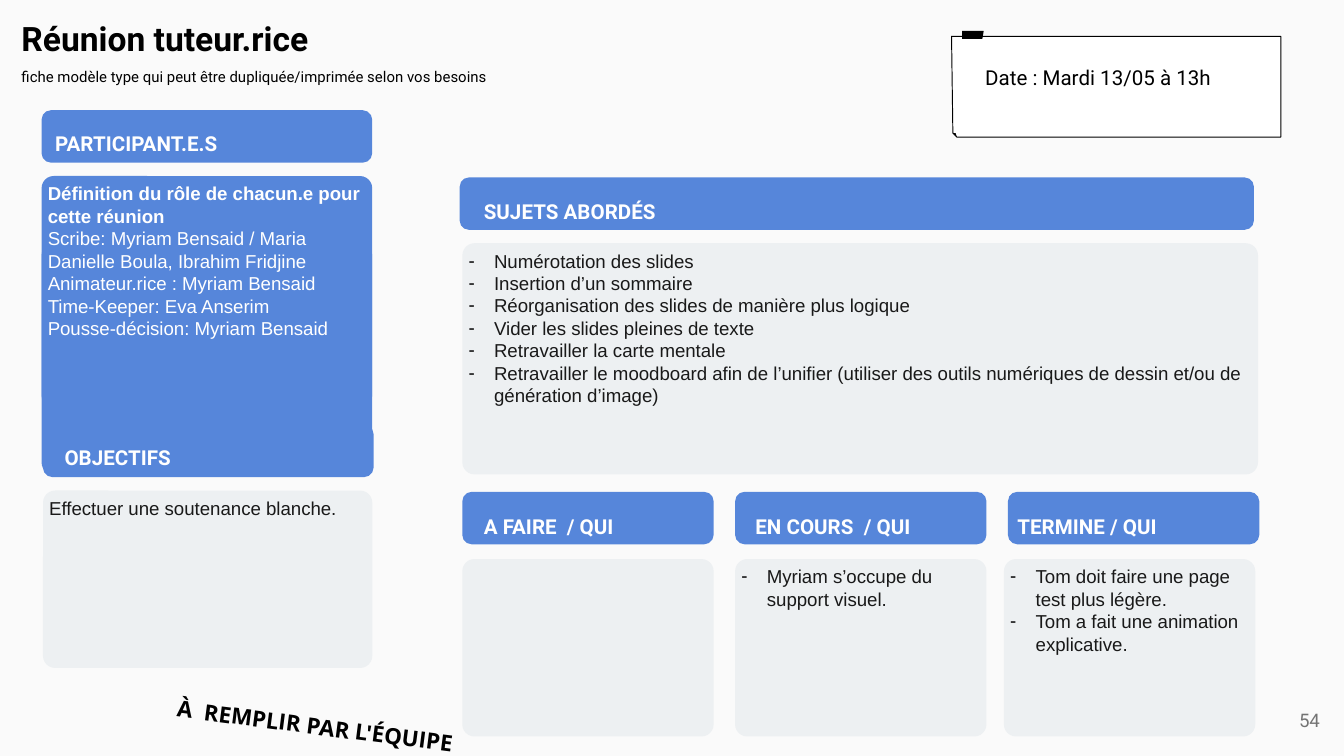
from dataclasses import dataclass

from lxml.etree import SubElement
from pptx import Presentation
from pptx.dml.color import RGBColor
from pptx.enum.shapes import MSO_SHAPE as Preset
from pptx.enum.text import MSO_ANCHOR as Anchor, MSO_AUTO_SIZE as AutoSize, PP_ALIGN as Align
from pptx.oxml.ns import qn
from pptx.util import Inches, Pt


@dataclass(frozen=True)
class Theme:
    background: str = "FAFAFA"
    blue: str = "5686DA"
    pale: str = "EDF0F2"
    white: str = "FFFFFF"
    black: str = "000000"
    body_ink: str = "191919"
    number_ink: str = "737373"
    heading_font: str = "Roboto"
    body_font: str = "Arial"
    stamp_font: str = "Open Sans"
    title_size: int = 18
    stamp_size: int = 12
    label_size: int = 11
    body_size: int = 10
    note_size: int = 8


THEME = Theme()

# Grid in inches: a left column and a right area split into three task columns
LEFT, LEFT_WIDTH = 0.31, 2.46
RIGHT, RIGHT_WIDTH = 3.44, 5.92
TASK_STEP, TASK_WIDTH = 2.03, 1.87
HEADER_HEIGHT, TALL, SHORT = 0.39, 1.72, 1.32
PARTICIPANTS_ROW, ROLES_ROW, TOPICS_ROW = 0.82, 1.31, 1.81
GOALS_HEADER_ROW, GOALS_ROW = 3.16, 3.65
TASK_HEADER_ROW, TASK_ROW = 3.66, 4.16
LABEL_WIDTH = 1.71
HEADER_RADIUS, PANEL_RADIUS = 0.07, 0.09
BULLET_INDENT = 0.19


def rgb(color):
    return RGBColor.from_string(color)


def set_insets(text_frame, inset):
    text_frame.margin_left = text_frame.margin_right = Inches(inset)
    text_frame.margin_top = text_frame.margin_bottom = Inches(inset)


def format_runs(paragraph, size, color, font, bold=False):
    for run in paragraph.runs:
        run.font.size = Pt(size)
        run.font.name = font
        run.font.bold = bold
        run.font.color.rgb = rgb(color)


def add_dash(paragraph):
    """Give the paragraph a black dash bullet with a hanging indent."""
    properties = paragraph._p.get_or_add_pPr()
    properties.set("marL", str(Inches(BULLET_INDENT)))
    properties.set("indent", str(-Inches(BULLET_INDENT)))
    bullet_color = SubElement(properties, qn("a:buClr"))
    SubElement(bullet_color, qn("a:srgbClr")).set("val", THEME.black)
    SubElement(properties, qn("a:buFont")).set("typeface", THEME.body_font)
    SubElement(properties, qn("a:buChar")).set("char", "-")


def add_text(slide, box, text, size, color=THEME.black, font=THEME.heading_font,
             bold=False, spacing=1.5, align=Align.LEFT):
    shape = slide.shapes.add_textbox(*map(Inches, box))
    text_frame = shape.text_frame
    text_frame.word_wrap = True
    text_frame.auto_size = AutoSize.SHAPE_TO_FIT_TEXT
    set_insets(text_frame, 0)
    text_frame.text = text
    paragraph = text_frame.paragraphs[0]
    paragraph.alignment = align
    paragraph.line_spacing = spacing
    format_runs(paragraph, size, color, font, bold)
    return shape


def add_rounded(slide, box, color, radius):
    shape = slide.shapes.add_shape(Preset.ROUNDED_RECTANGLE, *map(Inches, box))
    shape.adjustments[0] = radius / min(box[2:])
    shape.shadow.inherit = False
    shape.fill.solid()
    shape.fill.fore_color.rgb = rgb(color)
    shape.line.fill.background()
    return shape


def add_header(slide, left, top, width, label, indent, drop=0.07, label_height=0.19):
    add_rounded(slide, (left, top, width, HEADER_HEIGHT), THEME.blue, HEADER_RADIUS)
    add_text(slide, (left + indent, top + drop, LABEL_WIDTH, label_height), label,
             THEME.label_size, THEME.white, bold=True)


def add_panel(slide, box, lines=(), fill=THEME.pale, ink=THEME.body_ink,
              dashes=True, bold_first=False):
    shape = add_rounded(slide, box, fill, PANEL_RADIUS)
    if not lines:
        return
    text_frame = shape.text_frame
    text_frame.word_wrap = True
    text_frame.vertical_anchor = Anchor.TOP
    set_insets(text_frame, 0.02)
    text_frame.text = "\n".join(lines)
    for index, paragraph in enumerate(text_frame.paragraphs):
        paragraph.alignment = Align.LEFT
        if dashes:
            add_dash(paragraph)
        format_runs(paragraph, THEME.body_size, ink, THEME.body_font,
                    bold_first and index == 0)


def add_outline(slide, points, fill, line_width=0):
    start, *others = [(Inches(x), Inches(y)) for x, y in points]
    builder = slide.shapes.build_freeform(*start)
    builder.add_line_segments(others, close=True)
    shape = builder.convert_to_shape()
    shape.shadow.inherit = False
    shape.fill.solid()
    shape.fill.fore_color.rgb = rgb(fill)
    if line_width:
        shape.line.width = Pt(line_width)
        shape.line.color.rgb = rgb(THEME.black)
    else:
        shape.line.fill.background()


def add_date_card(slide):
    left, top, right, bottom = 7.08, 0.27, 9.53, 1.02
    add_outline(slide, [(left, top), (right, top), (right, bottom), (left + 0.04, bottom),
                        (left + 0.01, bottom - 0.03)], THEME.white, 0.5)
    add_outline(slide, [(7.09, 0.99), (7.11, 0.99), (7.12, 1.02)], THEME.black)
    add_outline(slide, [(7.16, 0.23), (7.32, 0.23), (7.31, 0.29), (7.16, 0.29)], THEME.black)
    add_text(slide, (7.33, 0.43, 1.95, 0.4), "Date : Mardi 13/05 à 13h",
             THEME.label_size, spacing=1.31)


def add_left_column(slide):
    add_header(slide, LEFT, PARTICIPANTS_ROW, LEFT_WIDTH, "PARTICIPANT.E.S", 0.1, 0.06, 0.28)
    add_panel(slide, (LEFT, TOPICS_ROW, LEFT_WIDTH, TALL), fill=THEME.blue)
    add_panel(slide, (LEFT + 0.01, GOALS_ROW, LEFT_WIDTH - 0.01, SHORT),
              ["Effectuer une soutenance blanche."], dashes=False)
    add_header(slide, LEFT + 0.01, GOALS_HEADER_ROW, LEFT_WIDTH, "OBJECTIFS", 0.16, 0.06, 0.28)
    add_panel(slide, (LEFT, ROLES_ROW, LEFT_WIDTH, TALL), [
        "Définition du rôle de chacun.e pour cette réunion",
        "Scribe: Myriam Bensaid / Maria Danielle Boula, Ibrahim Fridjine",
        "Animateur.rice : Myriam Bensaid",
        "Time-Keeper: Eva Anserim",
        "Pousse-décision: Myriam Bensaid",
    ], THEME.blue, THEME.white, dashes=False, bold_first=True)


def add_topics(slide):
    add_header(slide, RIGHT - 0.02, TOPICS_ROW - 0.49, RIGHT_WIDTH - 0.01, "SUJETS ABORDÉS", 0.18)
    add_panel(slide, (RIGHT, TOPICS_ROW, RIGHT_WIDTH, TALL), [
        "Numérotation des slides",
        "Insertion d’un sommaire",
        "Réorganisation des slides de manière plus logique",
        "Vider les slides pleines de texte",
        "Retravailler la carte mentale",
        "Retravailler le moodboard afin de l’unifier (utiliser des outils numériques "
        "de dessin et/ou de génération d’image)",
    ])


def add_tasks(slide):
    tasks = [
        ("A FAIRE  / QUI", 0.16, 0, []),
        ("EN COURS  / QUI", 0.15, 0, ["Myriam s’occupe du support visuel."]),
        ("TERMINE / QUI", 0.07, -0.03, ["Tom doit faire une page test plus légère.",
                                        "Tom a fait une animation explicative."]),
    ]
    for column, (label, indent, shift, lines) in enumerate(tasks):
        left = RIGHT + column * TASK_STEP
        add_header(slide, left, TASK_HEADER_ROW, TASK_WIDTH, label, indent)
        add_panel(slide, (left + shift, TASK_ROW, TASK_WIDTH, SHORT), lines)


def add_page_number(slide):
    shape = add_text(slide, (9.32, 5.14, 0.6, 0.43), "54", THEME.body_size,
                     THEME.number_ink, spacing=1.0, align=Align.RIGHT)
    shape.text_frame.auto_size = AutoSize.NONE
    shape.text_frame.vertical_anchor = Anchor.MIDDLE
    set_insets(shape.text_frame, 0.1)


def main():
    presentation = Presentation()
    presentation.slide_width = Inches(10)
    presentation.slide_height = presentation.slide_width * 9 // 16
    slide = presentation.slides.add_slide(presentation.slide_layouts[6])
    slide.background.fill.solid()
    slide.background.fill.fore_color.rgb = rgb(THEME.background)

    add_date_card(slide)
    add_left_column(slide)
    add_topics(slide)
    add_tasks(slide)
    add_text(slide, (0.16, 0.1, 5.89, 0.33), "Réunion tuteur.rice",
             THEME.title_size, bold=True, spacing=1.1)
    add_text(slide, (0.16, 0.45, 5.89, 0.13),
             "fiche modèle type qui peut être dupliquée/imprimée selon vos besoins",
             THEME.note_size, spacing=1.4)
    stamp = add_text(slide, (1.27, 5.22, 2.17, 0.2), "À  REMPLIR PAR L'ÉQUIPE", THEME.stamp_size,
                     font=THEME.stamp_font, bold=True, spacing=1.4, align=Align.CENTER)
    stamp.rotation = 7.3
    add_page_number(slide)
    presentation.save("out.pptx")


if __name__ == "__main__":
    main()
